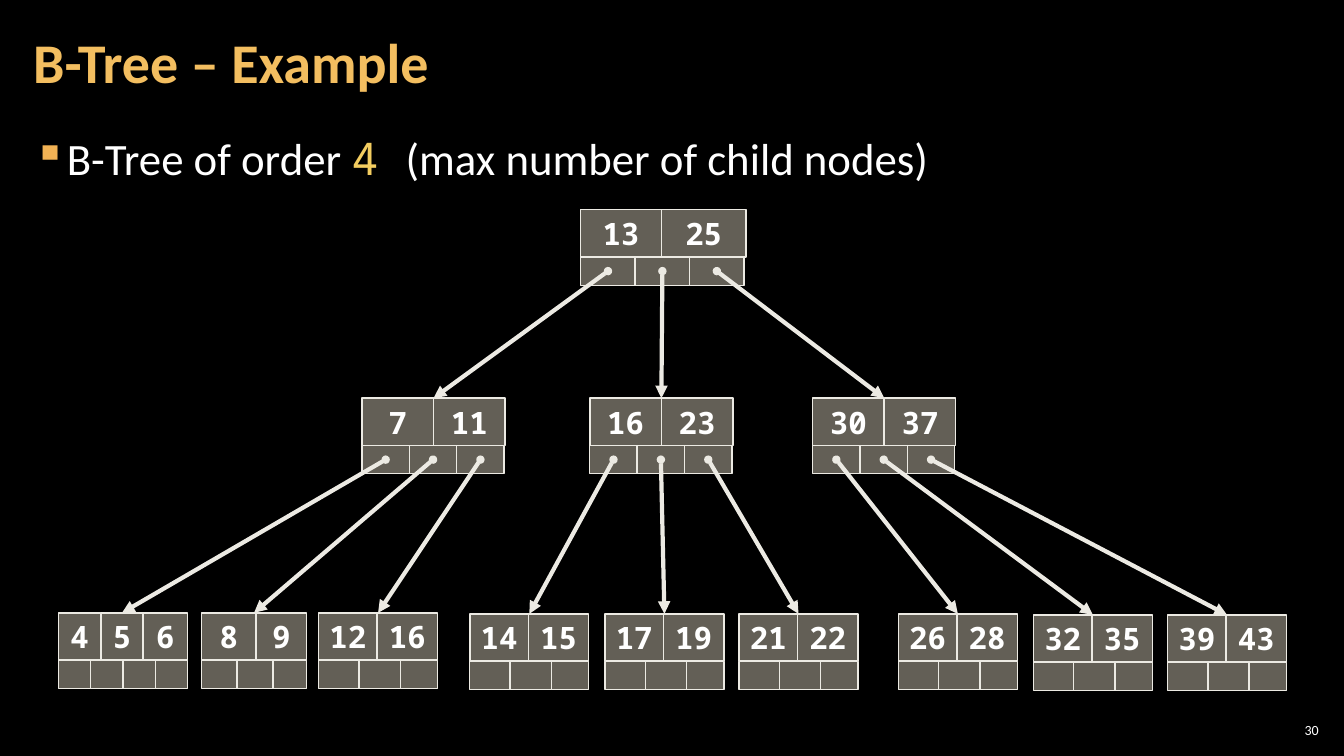
"""Builds a slide showing a B-tree of order 4 with three levels."""
from lxml import etree
from pptx import Presentation
from pptx.dml.color import RGBColor
from pptx.enum.shapes import MSO_CONNECTOR, MSO_SHAPE
from pptx.enum.text import MSO_ANCHOR, PP_ALIGN
from pptx.oxml.ns import qn
from pptx.util import Inches, Pt

RECTANGLE = MSO_SHAPE.RECTANGLE
STRAIGHT = MSO_CONNECTOR.STRAIGHT
TOP, MIDDLE = MSO_ANCHOR.TOP, MSO_ANCHOR.MIDDLE
LEFT, CENTER, RIGHT = PP_ALIGN.LEFT, PP_ALIGN.CENTER, PP_ALIGN.RIGHT

BLACK = RGBColor(0x00, 0x00, 0x00)
WHITE = RGBColor(0xFF, 0xFF, 0xFF)
TITLE_GOLD = RGBColor(0xF3, 0xBE, 0x60)
BULLET_GOLD = RGBColor(0xF2, 0xB2, 0x54)
NUMBER_GOLD = RGBColor(0xF3, 0xCD, 0x60)
CELL_FILL = RGBColor(0xC7, 0xBF, 0xAC)
EDGE = RGBColor(0xEC, 0xEA, 0xE3)

SANS, MONO = "Calibri", "Noto Sans Mono"
KEY_HEIGHT, POINTER_HEIGHT = 0.47, 0.28

deck = Presentation()
deck.slide_width, deck.slide_height = Inches(13.33), Inches(7.5)
page = deck.slides.add_slide(deck.slide_layouts[6])
page.background.fill.solid()
page.background.fill.fore_color.rgb = BLACK


def write(frame, spans, margins, anchor, align):
    """Fill a text frame with one paragraph of (text, font, size, colour, bold) spans."""
    sides = ("margin_left", "margin_top", "margin_right", "margin_bottom")
    for side, margin in zip(sides, margins):
        setattr(frame, side, Inches(margin))
    frame.word_wrap = True
    frame.vertical_anchor = anchor
    para = frame.paragraphs[0]
    para.alignment = align
    for text, name, size, colour, bold in spans:
        span = para.add_run()
        span.text = text
        span.font.color.rgb = colour
        for key, value in {"name": name, "size": Pt(size), "bold": bold}.items():
            setattr(span.font, key, value)
    return para


def add_cell(left, top, width, height):
    """Add one half-transparent box of a node."""
    cell = page.shapes.add_shape(
        RECTANGLE, Inches(left), Inches(top), Inches(width), Inches(height))
    cell.shadow.inherit = False
    cell.fill.solid()
    cell.fill.fore_color.rgb = CELL_FILL
    colour = cell.fill._xPr.find(qn("a:solidFill"))[0]
    etree.SubElement(colour, qn("a:alpha"), val="50000")
    cell.line.color.rgb = EDGE
    cell.line.width = Pt(1)
    return cell


number_box = page.shapes.add_textbox(Inches(12.65), Inches(7.14), Inches(0.47), Inches(0.21))
write(number_box.text_frame, [("30", SANS, 10, WHITE, False)], [0.04] * 4, MIDDLE, RIGHT)

title_box = page.shapes.add_textbox(Inches(0.21), Inches(0.04), Inches(10.47), Inches(1.21))
title = write(title_box.text_frame, [("B-Tree – Example", SANS, 40, TITLE_GOLD, True)],
              (0.12, 0.04, 0.12, 0.04), MIDDLE, LEFT)
title.line_spacing = 0.9

body_box = page.shapes.add_textbox(Inches(0.21), Inches(1.26), Inches(12.91), Inches(6.09))
body = write(body_box.text_frame, [
    ("B-Tree of order ", SANS, 32, WHITE, False),
    ("4 ", MONO, 32, NUMBER_GOLD, False),
    ("(max number of child nodes)", SANS, 32, WHITE, False),
], (0.12, 0.04, 0.12, 0.04), TOP, LEFT)
body.space_before = body.space_after = Pt(6)
body_format = body._p.get_or_add_pPr()
body_format.set("marL", str(Inches(0.33)))
body_format.set("indent", str(Inches(-0.33)))
bullet_colour = etree.SubElement(body_format, qn("a:buClr"))
etree.SubElement(bullet_colour, qn("a:srgbClr"), val=str(BULLET_GOLD))
etree.SubElement(body_format, qn("a:buChar"), char="▪")

ROOT = ((0.8, 0.84), (0.54, 0.54, 0.54))
BRANCH = ((0.71, 0.71), (0.47, 0.47, 0.47))
LEAF = ((0.58, 0.6), (0.4, 0.41, 0.37))
NARROW_LEAF = ((0.54, 0.5), (0.35, 0.36, 0.33))
FULL_LEAF = ((0.42, 0.42, 0.44), (0.32, 0.32, 0.32, 0.32))

nodes = [
    (5.76, 2.08, (13, 25), ROOT),
    (3.59, 3.95, (7, 11), BRANCH),
    (5.85, 3.95, (16, 23), BRANCH),
    (8.06, 3.95, (30, 37), BRANCH),
    (0.58, 6.08, (4, 5, 6), FULL_LEAF),
    (2, 6.08, (8, 9), NARROW_LEAF),
    (3.16, 6.08, (12, 16), LEAF),
    (4.66, 6.09, (14, 15), LEAF),
    (6, 6.09, (17, 19), LEAF),
    (7.33, 6.09, (21, 22), LEAF),
    (8.91, 6.09, (26, 28), LEAF),
    (10.25, 6.1, (32, 35), LEAF),
    (11.58, 6.1, (39, 43), LEAF),
]

pointer_centers = []
entries = []
for left, top, keys, (key_widths, pointer_widths) in nodes:
    key_cells = []
    key_left = left
    for key, width in zip(keys, key_widths):
        key_cell = add_cell(key_left, top, width, KEY_HEIGHT)
        write(key_cell.text_frame, [(str(key), MONO, 22, WHITE, True)], [0] * 4, MIDDLE, CENTER)
        key_cells.append(key_cell)
        key_left += width
    pointer_left = left
    for width in pointer_widths:
        add_cell(pointer_left, top + KEY_HEIGHT, width, POINTER_HEIGHT)
        pointer_centers.append((pointer_left + width / 2, top + KEY_HEIGHT + POINTER_HEIGHT / 2))
        pointer_left += width
    middle_key = key_cells[len(keys) // 2] if len(keys) % 2 else None
    entries.append(((left + key_left) / 2, top, middle_key))

for (start_x, start_y), (end_x, end_y, middle_key) in zip(pointer_centers, entries[1:]):
    arrow = page.shapes.add_connector(
        STRAIGHT, Inches(start_x), Inches(start_y), Inches(end_x), Inches(end_y))
    if middle_key is not None:
        arrow.end_connect(middle_key, 0)
    arrow.line.color.rgb = EDGE
    arrow.line.width = Pt(3)
    outline = arrow.line._get_or_add_ln()
    etree.SubElement(outline, qn("a:headEnd"), type="oval", w="sm", len="sm")
    etree.SubElement(outline, qn("a:tailEnd"), type="triangle")
    etree.SubElement(arrow._element.spPr, qn("a:effectLst"))

deck.save("out.pptx")
